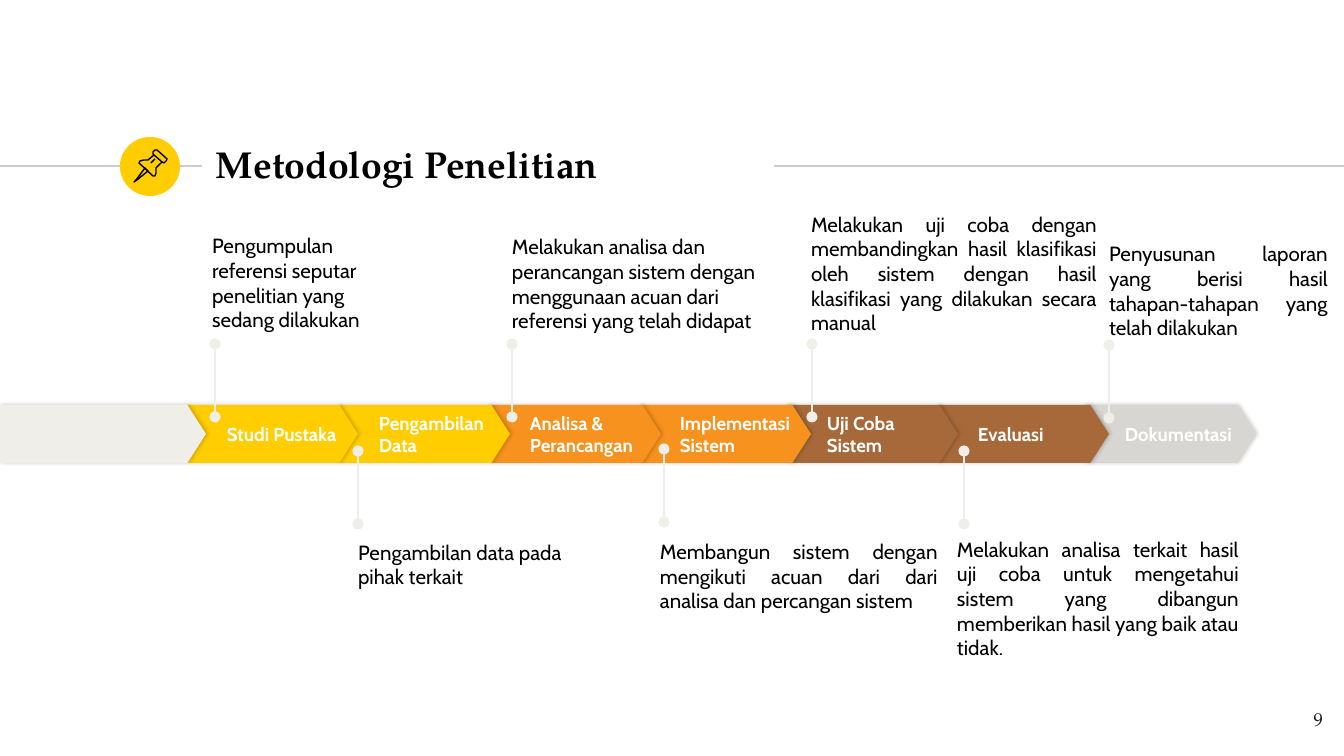
import pptx
import pptx.util
import pptx.dml.color
import pptx.enum.shapes
import pptx.enum.text
import pptx.oxml
import pptx.oxml.ns

PX = 914400 / 134.4
SERIF, SANS = "TeX Gyre Pagella", "Cabin"
BLACK, WHITE, GREY, PALE = "000000", "FFFFFF", "CCCCCC", "F0EEE9"
YELLOW, ORANGE, BROWN, STONE = "FFCD00", "F6921D", "A7693A", "D8D6D2"
SHAPE = pptx.enum.shapes.MSO_SHAPE
ALIGN = pptx.enum.text.PP_ALIGN
ANCHOR = pptx.enum.text.MSO_ANCHOR
LEFT, JUSTIFY = ALIGN.LEFT, ALIGN.JUSTIFY

ARROW_TOP, ARROW_W, ARROW_H, PIN_LENGTH = 405, 171, 58, 73

# label, arrow left, colour, pin x, pin top, note box, note alignment, note
STEPS = [
    ("Studi Pustaka", 187, YELLOW, 215, 344, (212, 254, 184, 78), LEFT,
     "Pengumpulan referensi seputar penelitian yang sedang dilakukan"),
    ("Pengambilan Data", 339, YELLOW, 358, 451, (358, 535, 250, 54), LEFT,
     "Pengambilan data pada pihak terkait"),
    ("Analisa & Perancangan", 490, ORANGE, 512, 344, (512, 227, 274, 106), LEFT,
     "Melakukan analisa dan perancangan sistem dengan menggunaan acuan dari "
     "referensi yang telah didapat"),
    ("Implementasi Sistem", 640, ORANGE, 664, 449, (660, 535, 278, 78), JUSTIFY,
     "Membangun sistem dengan mengikuti acuan dari dari analisa dan percangan sistem"),
    ("Uji Coba Sistem", 787, BROWN, 812, 344, (811, 257, 286, 78), JUSTIFY,
     "Melakukan uji coba dengan membandingkan hasil klasifikasi oleh sistem dengan "
     "hasil klasifikasi yang dilakukan secara manual"),
    ("Evaluasi", 938, BROWN, 964, 451, (957, 535, 282, 125), JUSTIFY,
     "Melakukan analisa terkait hasil uji coba untuk mengetahui sistem yang dibangun "
     "memberikan hasil yang baik atau tidak."),
    ("Dokumentasi", 1085, STONE, 1109, 345, (1109, 262, 219, 78), JUSTIFY,
     "Penyusunan laporan yang berisi hasil tahapan-tahapan yang telah dilakukan"),
]

# outline points, closed
PUSHPIN = [
    ([(145, 168), (136, 180), (134, 182), (137, 180), (148, 171)], True),
    ([(154, 155), (162, 162), (164, 163), (166, 161), (167, 159), (157, 150),
      (155, 150), (153, 152), (153, 154)], True),
    ([(154, 155), (148, 160), (144, 160), (140, 161), (139, 163), (153, 176),
      (155, 176), (156, 173), (156, 168), (162, 162)], False),
]


def emu(*lengths):
    return [round(n * PX) for n in lengths]


def rgb(color):
    return pptx.dml.color.RGBColor.from_string(color)


def append_xml(parent, xml):
    head, tail = xml.split(" ", 1)
    ns = pptx.oxml.ns.nsdecls("a")
    parent.append(pptx.oxml.parse_xml(f"{head} {ns} {tail}"))


def write(sp, text, size=11, font=SANS, color=BLACK, bold=False, align=LEFT,
          anchor=ANCHOR.BOTTOM, insets=(0, 0, 0, 0)):
    tf = sp.text_frame
    tf.word_wrap = True
    tf.vertical_anchor = anchor
    tf.margin_left, tf.margin_top, tf.margin_right, tf.margin_bottom = emu(*insets)
    p = tf.paragraphs[0]
    p.alignment = align
    r = p.add_run()
    r.text = text
    r.font.size = pptx.util.Pt(size)
    r.font.name = font
    r.font.bold = bold
    r.font.color.rgb = rgb(color)


def text_box(box, text, **fmt):
    write(slide.shapes.add_textbox(*emu(*box)), text, **fmt)


def shape(kind, box, color):
    sp = slide.shapes.add_shape(kind, *emu(*box))
    sp.shadow.inherit = False
    sp.fill.solid()
    sp.fill.fore_color.rgb = rgb(color)
    sp.line.fill.background()
    return sp


def arrow(left, width, color):
    sp = shape(SHAPE.PENTAGON, (left, ARROW_TOP, width, ARROW_H), color)
    sp.adjustments[0] = 0.32
    effects = sp._element.spPr.find(pptx.oxml.ns.qn("a:effectLst"))
    append_xml(effects, '<a:outerShdw blurRad="27940" dist="10160" dir="0">'
               '<a:srgbClr val="000000"><a:alpha val="20000"/></a:srgbClr></a:outerShdw>')
    return sp


def line(x1, y1, x2, y2, color, dots=False):
    cx = slide.shapes.add_connector(pptx.enum.shapes.MSO_CONNECTOR.STRAIGHT,
                                    *emu(x1, y1, x2, y2))
    cx.line.width = pptx.util.Pt(0.75)
    cx.line.color.rgb = rgb(color)
    if dots:
        for end in ("headEnd", "tailEnd"):
            append_xml(cx.line._get_or_add_ln(), f'<a:{end} type="oval"/>')
    append_xml(cx._element.spPr, "<a:effectLst />")


def outline(points, closed):
    builder = slide.shapes.build_freeform(*points[0], scale=PX)
    builder.add_line_segments(points[1:], close=closed)
    sp = builder.convert_to_shape()
    sp.shadow.inherit = False
    sp.fill.background()
    sp.line.color.rgb = rgb(BLACK)
    sp.line.width = pptx.util.Pt(0.75)


prs = pptx.Presentation()
prs.slide_width, prs.slide_height = emu(1344, 756)
slide = prs.slides.add_slide(prs.slide_layouts[6])

line(0, 166, 202, 166, GREY)
shape(SHAPE.OVAL, (120, 137, 60, 59), YELLOW)
line(774, 166, 1344, 166, GREY)
for points, closed in PUSHPIN:
    outline(points, closed)
line(151, 163, 155, 159, BLACK)

text_box((203, 132, 570, 64), "Metodologi Penelitian", size=20, font=SERIF, bold=True,
         anchor=ANCHOR.MIDDLE, insets=(13, 13, 13, 13))
text_box((1255, 697, 81, 58), "9", size=10, font=SERIF, color="1D1D1B",
         align=ALIGN.RIGHT, anchor=ANCHOR.TOP, insets=(13, 13, 13, 13))

# Each arrow overlaps the next one, so the last step goes to the back.
for label, left, color, *_ in reversed(STEPS):
    write(arrow(left, ARROW_W, color), label, size=10, color=WHITE, bold=True,
          anchor=ANCHOR.MIDDLE, insets=(40, 0, 0, 0))
arrow(0, 206, PALE)

for _, _, _, pin_x, pin_top, box, align, note in STEPS:
    line(pin_x, pin_top + PIN_LENGTH, pin_x, pin_top, PALE, dots=True)
    text_box(box, note, align=align)

prs.save("out.pptx")
